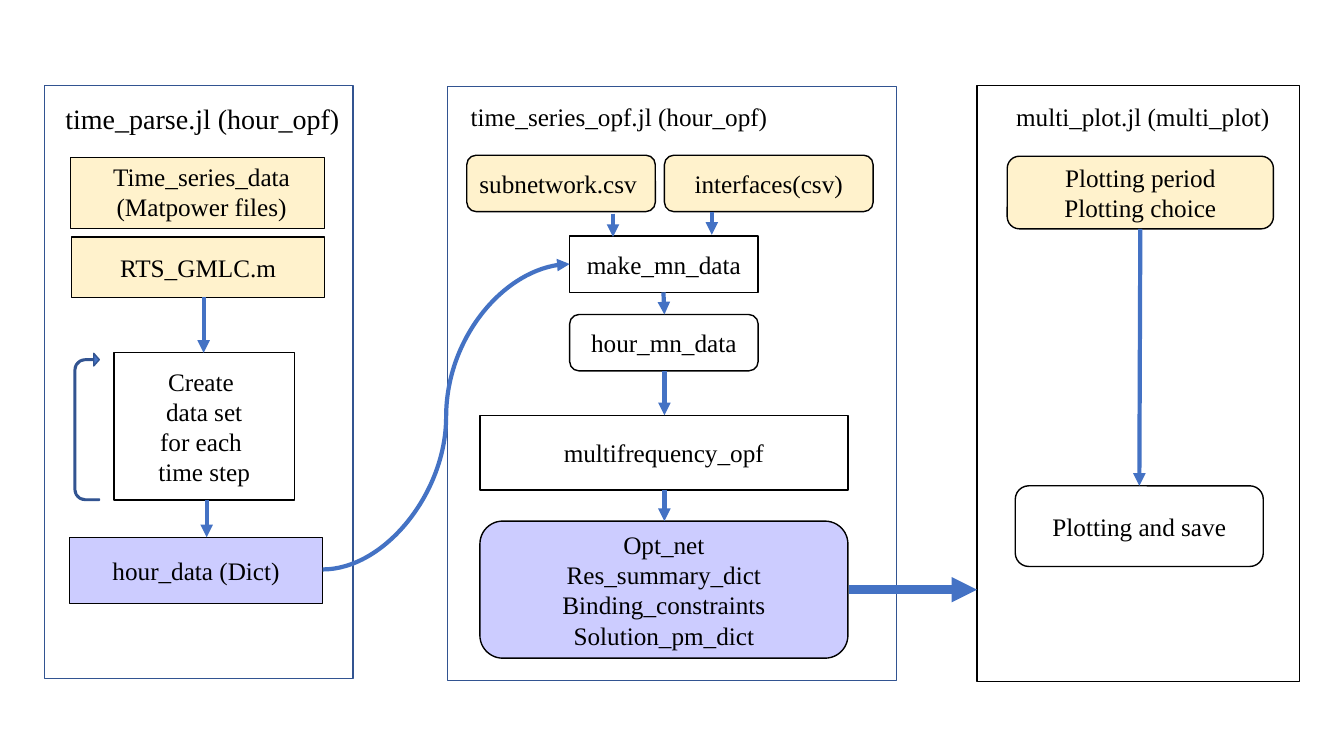
import pptx
import pptx.dml.color
import pptx.enum.shapes
import pptx.enum.text
import pptx.oxml
import pptx.oxml.ns
import pptx.util
from pptx.util import Inches

RECTANGLE = pptx.enum.shapes.MSO_SHAPE.RECTANGLE
ROUNDED = pptx.enum.shapes.MSO_SHAPE.ROUNDED_RECTANGLE
U_TURN = pptx.enum.shapes.MSO_SHAPE.U_TURN_ARROW
STRAIGHT = pptx.enum.shapes.MSO_CONNECTOR.STRAIGHT
CURVE = pptx.enum.shapes.MSO_CONNECTOR.CURVE
LEFT = pptx.enum.text.PP_ALIGN.LEFT
CENTER = pptx.enum.text.PP_ALIGN.CENTER
MIDDLE = pptx.enum.text.MSO_ANCHOR.MIDDLE

BLACK, WHITE = "000000", "FFFFFF"
INPUT, RESULT = "FFF2CC", "CCCCFF"
ARROW, OUTLINE = "4472C4", "325491"

# place (left, top, width, height), outline colour
PANELS = [
    ((0.44, 0.85, 3.06, 5.88), OUTLINE),
    ((4.44, 0.86, 4.45, 5.89), OUTLINE),
    ((9.69, 0.85, 3.2, 5.91), BLACK),
]

# geometry, place, fill, lines of text, alignment
BOXES = [
    (RECTANGLE, (0.7, 1.56, 2.52, 0.71), INPUT, [], CENTER),
    (RECTANGLE, (0.71, 2.35, 2.51, 0.6), INPUT, ["RTS_GMLC.m"], CENTER),
    (RECTANGLE, (1.13, 3.5, 1.79, 1.46), WHITE,
     ["Create ", "data set", "for each ", "time step"], CENTER),
    (RECTANGLE, (0.69, 5.33, 2.51, 0.66), RESULT, ["hour_data (Dict)"], CENTER),
    (ROUNDED, (4.63, 1.54, 1.87, 0.56), INPUT, ["subnetwork.csv"], LEFT),
    (ROUNDED, (6.59, 1.54, 2.07, 0.56), INPUT, ["interfaces(csv)"], CENTER),
    (RECTANGLE, (5.65, 2.34, 1.87, 0.56), WHITE, ["make_mn_data"], CENTER),
    (ROUNDED, (5.65, 3.12, 1.87, 0.56), WHITE, ["hour_mn_data"], CENTER),
    (RECTANGLE, (4.76, 4.12, 3.65, 0.74), WHITE, ["multifrequency_opf"], CENTER),
    (ROUNDED, (4.76, 5.17, 3.65, 1.36), RESULT,
     ["Opt_net", "Res_summary_dict", "Binding_constraints", "Solution_pm_dict"],
     CENTER),
    (ROUNDED, (9.99, 1.55, 2.64, 0.72), INPUT,
     ["Plotting period", "Plotting choice"], CENTER),
    (ROUNDED, (10.07, 4.82, 2.46, 0.8), WHITE, ["Plotting and save"], CENTER),
]

# geometry, start, end, width in points
ARROWS = [
    (STRAIGHT, (2.02, 2.95), (2.02, 3.5), 3),
    (STRAIGHT, (2.05, 4.96), (2.05, 5.33), 3),
    (CURVE, (3.2, 5.65), (5.65, 2.62), 3),
    (STRAIGHT, (6.08, 2.12), (6.08, 2.35), 3),
    (STRAIGHT, (7.06, 2.1), (7.06, 2.33), 3),
    (STRAIGHT, (6.58, 2.9), (6.59, 3.12), 3),
    (STRAIGHT, (6.59, 3.68), (6.59, 4.12), 3),
    (STRAIGHT, (6.59, 4.86), (6.59, 5.17), 3),
    (STRAIGHT, (8.42, 5.85), (9.69, 5.85), 6),
    (STRAIGHT, (11.31, 2.27), (11.3, 4.82), 3),
]

# place, lines of text, alignment, size, wrap
LABELS = [
    ((1, 1.55, 2, 0.71), ["Time_series_data", "(Matpower files)"], CENTER, 18, True),
    ((0.55, 0.96, 2.94, 0.44), ["time_parse.jl (hour_opf)"], LEFT, 20, False),
    ((4.57, 0.96, 3.18, 0.4), ["time_series_opf.jl (hour_opf)"], LEFT, 18, False),
    ((9.98, 0.96, 2.74, 0.4), ["multi_plot.jl (multi_plot)"], LEFT, 18, False),
]


def color(value):
    """Turn a hex string into a colour."""
    return pptx.dml.color.RGBColor.from_string(value)


def set_format(target, values):
    """Set each attribute named in a dict of format values."""
    for name, value in values.items():
        setattr(target, name, value)


def set_line(line, value, width):
    """Give a line its colour and its width in points."""
    line.color.rgb = color(value)
    line.width = pptx.util.Pt(width)


def write_text(text_frame, lines, alignment, size=18):
    """Write one paragraph for each line of text."""
    text_frame.text = "\n".join(lines)
    for paragraph in text_frame.paragraphs:
        paragraph.alignment = alignment
        for run in paragraph.runs:
            set_format(run.font, {"name": "Times New Roman",
                                  "size": pptx.util.Pt(size)})
            run.font.color.rgb = color(BLACK)


def add_box(slide, geometry, place, fill=None, outline=BLACK):
    """Add a preset shape, unfilled when no fill is given."""
    shape = slide.shapes.add_shape(geometry, *map(Inches, place))
    shape.shadow.inherit = False
    if fill:
        shape.fill.solid()
        shape.fill.fore_color.rgb = color(fill)
    else:
        shape.fill.background()
    set_line(shape.line, outline, 1)
    return shape


def add_text_box(slide, geometry, place, fill, lines, alignment):
    """Add a box with vertically centred text."""
    shape = add_box(slide, geometry, place, fill)
    if lines:
        set_format(shape.text_frame, {"word_wrap": True, "vertical_anchor": MIDDLE})
        write_text(shape.text_frame, lines, alignment)


def add_label(slide, place, lines, alignment, size, wrap):
    """Add text without a box around it."""
    text_frame = slide.shapes.add_textbox(*map(Inches, place)).text_frame
    text_frame.word_wrap = wrap
    text_frame.auto_size = pptx.enum.text.MSO_AUTO_SIZE.SHAPE_TO_FIT_TEXT
    write_text(text_frame, lines, alignment, size)


def add_arrow(slide, geometry, start, end, width):
    """Add a connector with a triangular head at its end."""
    connector = slide.shapes.add_connector(geometry, *map(Inches, start + end))
    set_line(connector.line, ARROW, width)
    head = pptx.oxml.parse_xml(
        f'<a:tailEnd {pptx.oxml.ns.nsdecls("a")} type="triangle"/>')
    connector.line._get_or_add_ln().append(head)
    effects = pptx.oxml.parse_xml(f'<a:effectLst {pptx.oxml.ns.nsdecls("a")}/>')
    connector._element.spPr.append(effects)


def add_loop(slide, place):
    """Add the U-turn arrow that marks the repeat over time steps."""
    loop = add_box(slide, U_TURN, place, ARROW, OUTLINE)
    loop.rotation = 270
    for index, value in enumerate((0.06, 0.25, 0.22, 0.44, 1)):
        loop.adjustments[index] = value


def main():
    """Build the slide and save it."""
    presentation = pptx.Presentation()
    set_format(presentation, {"slide_width": Inches(13.33),
                              "slide_height": Inches(7.5)})
    slide = presentation.slides.add_slide(presentation.slide_layouts[6])
    for place, outline in PANELS:
        add_box(slide, RECTANGLE, place, outline=outline)
    for box in BOXES:
        add_text_box(slide, *box)
    add_loop(slide, (0.13, 4.11, 1.46, 0.25))
    for arrow in ARROWS:
        add_arrow(slide, *arrow)
    for label in LABELS:
        add_label(slide, *label)
    presentation.save("out.pptx")


main()
